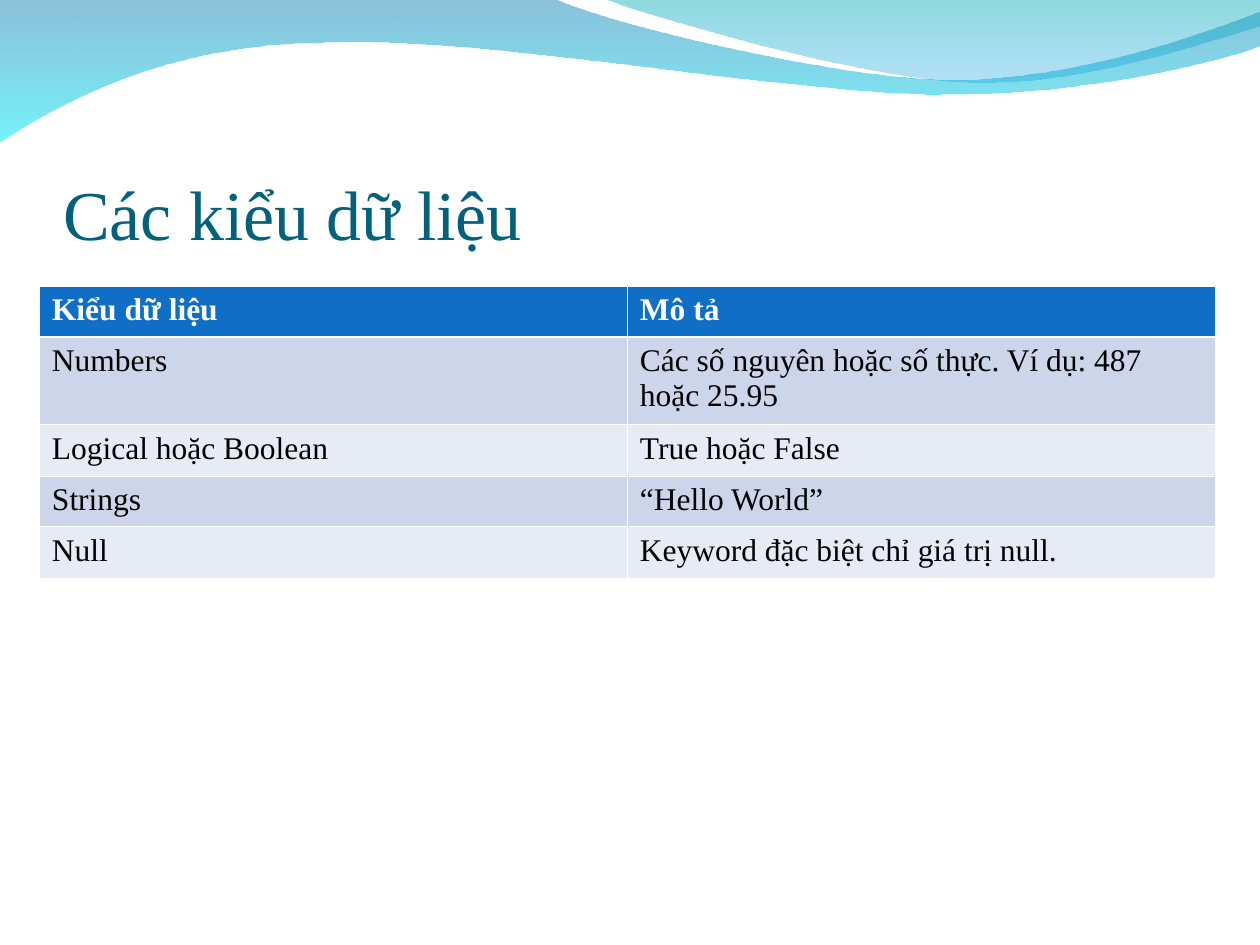
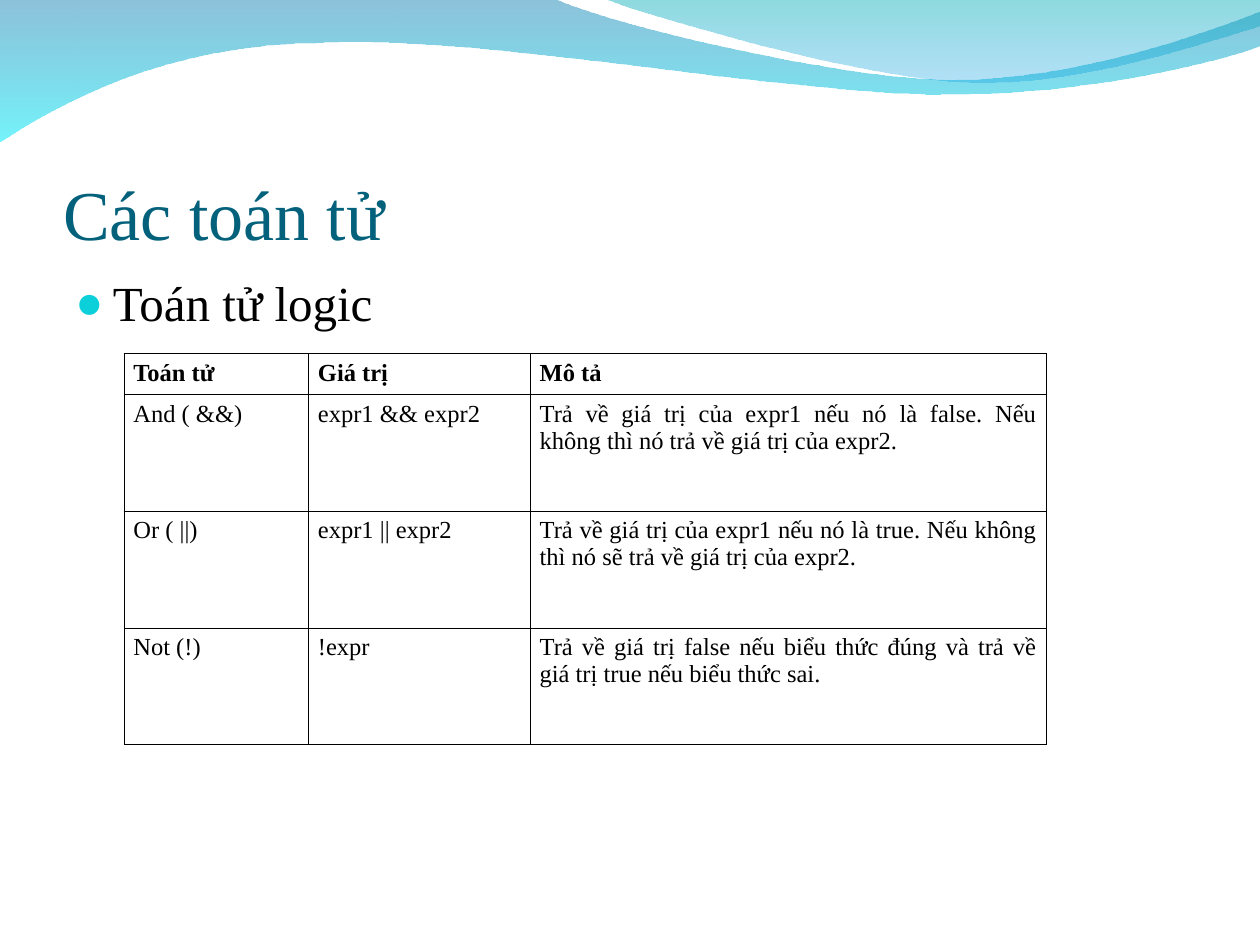
"""Build two slides on data types and logical operators."""
from lxml import etree
from pptx import Presentation
from pptx.dml.color import RGBColor
from pptx.enum import text
from pptx.oxml import ns
from pptx.util import Pt

FONT = "Times New Roman"
TEAL = RGBColor(0x04, 0x61, 0x7B)
BLUE = RGBColor(0x0F, 0x6F, 0xC6)
BLACK = RGBColor(0, 0, 0)
WHITE = RGBColor(0xFF, 0xFF, 0xFF)
BANDS = [RGBColor(0xE7, 0xEB, 0xF5), RGBColor(0xCC, 0xD5, 0xEA)]
CYAN = RGBColor(0x0B, 0xD0, 0xD9)
DEEP = RGBColor(0x00, 0x79, 0xAF)
AQUA = RGBColor(0x00, 0xEB, 0xF8)
GREEN = RGBColor(0x00, 0xAD, 0xB6)
SKY = RGBColor(0x00, 0x9B, 0xE5)


def write(frame, words, size, color, bold=False):
    """Put words in a frame and return the formatted paragraph."""
    frame.text = words
    par = frame.paragraphs[0]
    font = par.runs[0].font
    font.name, font.size, font.bold = FONT, Pt(size), bold
    font.color.rgb = color
    return par


def draw_table(slide, rows, left, top, widths, heights, size, inset, edge, head, bands):
    """Add a table with edges, a bold head row and optional band fills."""
    grid = slide.shapes.add_table(len(rows), len(widths), Pt(left), Pt(top),
                                  Pt(sum(widths)), Pt(sum(heights))).table
    grid.horz_banding = False
    for col, width in zip(grid.columns, widths):
        col.width = Pt(width)
    for r, (row, height) in enumerate(zip(rows, heights)):
        grid.rows[r].height = Pt(height)
        for c, words in enumerate(row):
            cell = grid.cell(r, c)
            par = write(cell.text_frame, words, size, BLACK if r else head, r == 0)
            if r and not bands:
                par.alignment = text.PP_ALIGN.JUSTIFY
            cell.margin_left = cell.margin_right = Pt(inset)
            cell.margin_top = cell.margin_bottom = Pt(3.6 if bands else 3.3)
            props = cell._tc.get_or_add_tcPr()
            for side in "LRTB":
                thick = bands and (r, side) in ((0, "B"), (1, "T"))
                line = etree.SubElement(props, ns.qn("a:ln" + side),
                                        w=str(Pt(1.47 if thick else 0.45)))
                paint = etree.SubElement(line, ns.qn("a:solidFill"))
                etree.SubElement(paint, ns.qn("a:srgbClr"), val=str(edge))
            if bands:
                cell.fill.solid()
                cell.fill.fore_color.rgb = bands[r % 2] if r else BLUE
            else:
                cell.fill.background()


deck = Presentation()
deck.slide_width, deck.slide_height = Pt(720), Pt(540)

slides = []
for words in ("Các kiểu dữ liệu", "Các toán tử"):
    slide = deck.slides.add_slide(deck.slide_layouts[5])
    title = slide.shapes.title
    title.left, title.top, title.width, title.height = Pt(36), Pt(55.5), Pt(648), Pt(90)
    frame = title.text_frame
    frame.margin_left = frame.margin_right = frame.margin_bottom = 0
    frame.margin_top = Pt(3.6)
    frame.vertical_anchor = text.MSO_ANCHOR.BOTTOM
    frame.auto_size = text.MSO_AUTO_SIZE.NONE
    write(frame, words, 40, TEAL).alignment = text.PP_ALIGN.LEFT
    slides.append(slide)
types, logic = slides

waves = [
    ((0, -0.7), [
        [(316.8, -0.7)],
        [(342.7, 12.2), (478.1, 45.4), (545.8, 45.4)],
        [(614.2, 45.4), (689.8, 18.7), (720, 6.5)],
        [(720.7, 25.9)],
        [(707.8, 31.7), (626.4, 54.7), (537.1, 54)],
        [(447.8, 54), (275, 20.2), (185, 24.5)],
        [(92.9, 25.2), (33.1, 59.8), (-0.7, 81.4)],
        [(0, -0.7)],
    ], [(DEEP, 45), (AQUA, 55)]),
    ((344.9, -0.7), [
        [(366.5, 7.9), (491, 44.6), (553.7, 46.8)],
        [(616.3, 49.7), (691.9, 23), (720, 15.1)],
        [(720, 0)],
        [(344.9, -0.7)],
    ], [(GREEN, 45), (SKY, 30)]),
]
tree = deck.slide_master.shapes.element
for i, (start, parts, tints) in enumerate(waves):
    pen = types.shapes.build_freeform(*map(Pt, start))
    pen.add_line_segments([(Pt(x), Pt(y)) for part in parts for x, y in part], close=True)
    wave = pen.convert_to_shape()
    lines = iter(wave.element.xpath(".//a:lnTo"))
    for part in parts:
        steps = [next(lines) for _ in part]
        if len(part) == 3:
            steps[0].addprevious(etree.Element(ns.qn("a:cubicBezTo")))
            curve = steps[0].getprevious()
            for step in steps:
                curve.append(step[0])
                step.getparent().remove(step)
    wave.name = f"Wave {i + 1}"
    wave.shadow.inherit = False
    wave.line.fill.background()
    wave.fill.gradient()
    wave.fill.gradient_angle = 270
    for stop, place, (color, _) in zip(wave.fill.gradient_stops, (0, 1), tints):
        stop.position = place
        stop.color.rgb = color
    for node, (_, alpha) in zip(wave.element.xpath(".//a:gs/a:srgbClr"), tints):
        etree.SubElement(node, ns.qn("a:alpha"), val=str(alpha * 1000))
    wave.element.xpath(".//p:cNvPr")[0].set("id", str(20 + i))
    tree.insert(2 + i, wave.element)

draw_table(types, [
    ("Kiểu dữ liệu", "Mô tả"),
    ("Numbers", "Các số nguyên hoặc số thực. Ví dụ: 487 hoặc 25.95"),
    ("Logical hoặc Boolean", "True hoặc False"),
    ("Strings", "“Hello World”"),
    ("Null", "Keyword đặc biệt chỉ giá trị null."),
], 22.5, 163.6, [336] * 2, [29, 50.2, 29.2, 29.1, 29.2], 18, 7.2, WHITE, WHITE, BANDS)

body = logic.shapes.add_textbox(Pt(36), Pt(152.2), Pt(648), Pt(345.6))
body.text_frame.word_wrap = True
par = write(body.text_frame, "Toán tử logic", 28, BLACK)
par.space_before = Pt(7)
props = par._p.get_or_add_pPr()
props.set("marL", str(Pt(21.5)))
props.set("indent", str(Pt(-21.5)))
tint = etree.SubElement(props, ns.qn("a:buClr"))
etree.SubElement(tint, ns.qn("a:srgbClr"), val=str(CYAN))
etree.SubElement(props, ns.qn("a:buSzPct"), val="95000")
etree.SubElement(props, ns.qn("a:buFont"), typeface="Arial")
etree.SubElement(props, ns.qn("a:buChar"), char="●")

draw_table(logic, [
    ("Toán tử", "Giá trị", "Mô tả"),
    ("And ( &&)", "expr1 && expr2",
     "Trả về giá trị của expr1 nếu nó là false. Nếu không thì nó trả về giá trị của expr2."),
    ("Or ( ||)", "expr1 || expr2",
     "Trả về giá trị của expr1 nếu nó là true. Nếu không thì nó sẽ trả về giá trị của expr2."),
    ("Not (!)", "!expr",
     "Trả về giá trị false nếu biểu thức đúng và trả về giá trị true nếu biểu thức sai."),
], 70.8, 202, [105.5, 126.7, 295], [16.6] + [66.7] * 3, 14, 5.4, BLACK, BLACK, None)

deck.save("out.pptx")
